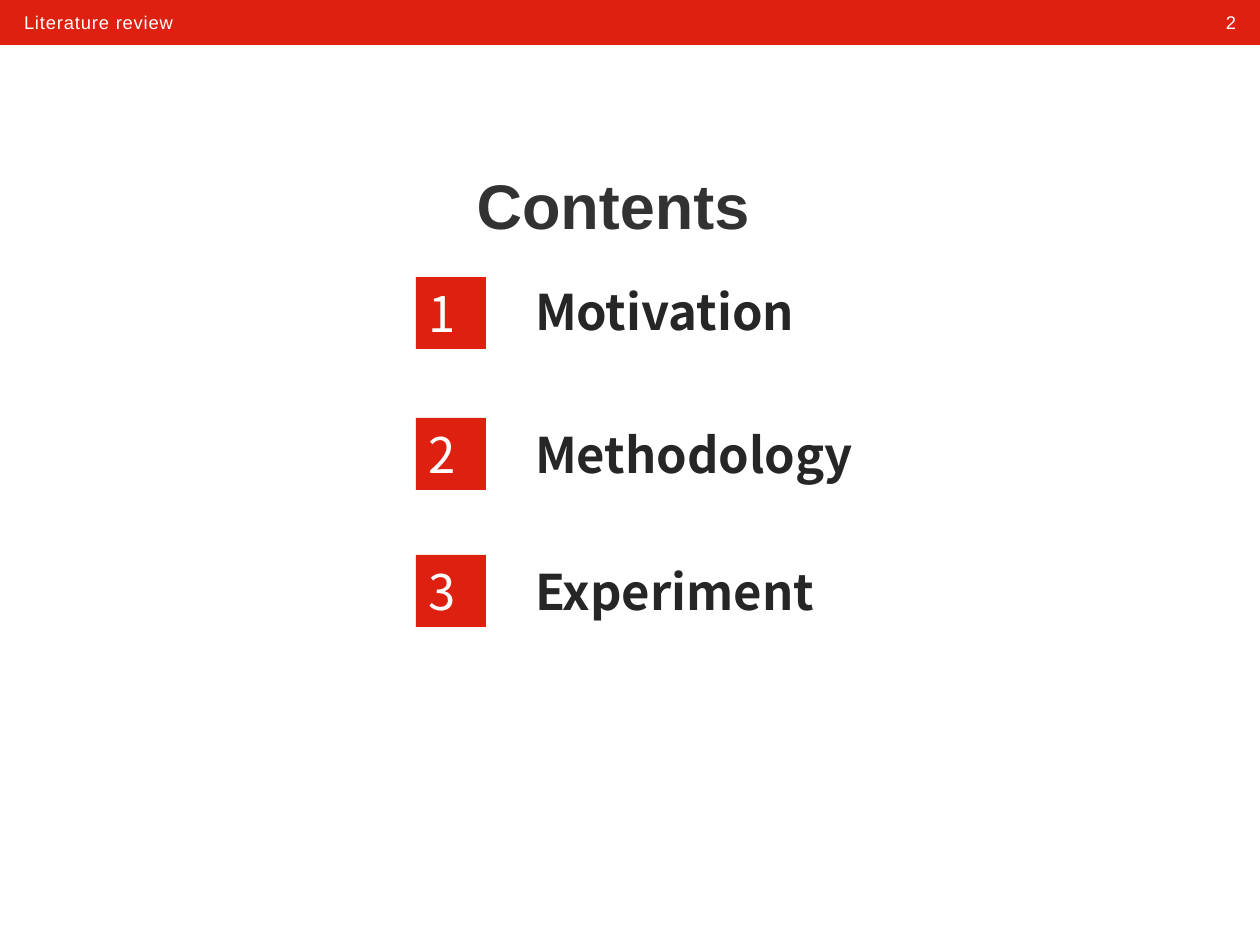
from dataclasses import dataclass

from pptx import Presentation
from pptx.dml.color import RGBColor
from pptx.enum.shapes import MSO_SHAPE
from pptx.enum.text import MSO_ANCHOR, PP_ALIGN
from pptx.util import Emu, Pt

RECT = MSO_SHAPE.RECTANGLE
LEFT, CENTER, RIGHT = PP_ALIGN.LEFT, PP_ALIGN.CENTER, PP_ALIGN.RIGHT
MIDDLE = MSO_ANCHOR.MIDDLE
SCALE = 914400 / 126
COLORS = {"red": "DE2010", "white": "FFFFFF", "title": "323232", "label": "262626"}
BODY_FONT = "Noto Sans CJK SC"


@dataclass
class Entry:
    """One numbered line of the contents."""
    number: str
    label: str
    top: int
    label_top: int


ENTRIES = [
    Entry("1", "Motivation", 277, 275),
    Entry("2", "Methodology", 418, 418),
    Entry("3", "Experiment", 555, 555),
]


def px(n: int) -> Emu:
    """Turn px into EMU."""
    return Emu(round(n * SCALE))


def color(name: str) -> RGBColor:
    """Look up a named colour."""
    return RGBColor.from_string(COLORS[name])


def add_rect(s, x: int, y: int, w: int, h: int):
    """Add a plain red rectangle."""
    sp = s.shapes.add_shape(RECT, px(x), px(y), px(w), px(h))
    sp.shadow.inherit = False
    sp.fill.solid()
    sp.fill.fore_color.rgb = color("red")
    sp.line.fill.background()
    return sp


def add_box(s, x: int, y: int, w: int, h: int):
    """Add an empty text box."""
    return s.shapes.add_textbox(px(x), px(y), px(w), px(h))


def set_text(sp, text: str, *, size: float, fill: str, font: str = "Arial",
             bold: bool = False, align=LEFT, spacing: int = 0) -> None:
    """Write one formatted line into a shape."""
    tf = sp.text_frame
    tf.word_wrap = True
    tf.vertical_anchor = MIDDLE
    tf.margin_left = tf.margin_right = px(12)
    tf.margin_top = tf.margin_bottom = 0
    p = tf.paragraphs[0]
    p.alignment = align
    r = p.add_run()
    r.text = text
    r.font.name = font
    r.font.size = Pt(size)
    r.font.bold = bold
    r.font.color.rgb = color(fill)
    if spacing:
        r.font._element.set("spc", str(spacing))


def add_entry(s, entry: Entry) -> None:
    """Draw a number tile and its label."""
    tile = add_rect(s, 416, entry.top, 70, 72)
    set_text(tile, entry.number, size=28, fill="white", font=BODY_FONT)
    label = add_box(s, 523, entry.label_top, 474, 72)
    set_text(label, entry.label, size=28, fill="label", font=BODY_FONT, bold=True)


def main() -> None:
    """Build the contents slide."""
    prs = Presentation()
    prs.slide_width, prs.slide_height = px(1260), px(945)
    s = prs.slides.add_slide(prs.slide_layouts[6])
    add_rect(s, 0, 0, 1260, 45)
    header = {"size": 10.5, "fill": "white", "spacing": 50}
    set_text(add_box(s, 1158, 5, 90, 35), "2", align=RIGHT, **header)
    set_text(add_box(s, 12, 5, 788, 35), "Literature review", **header)
    set_text(add_box(s, 38, 164, 1150, 81), "Contents", size=36, fill="title",
             bold=True, align=CENTER)
    for entry in ENTRIES:
        add_entry(s, entry)
    prs.save("out.pptx")


if __name__ == "__main__":
    main()
